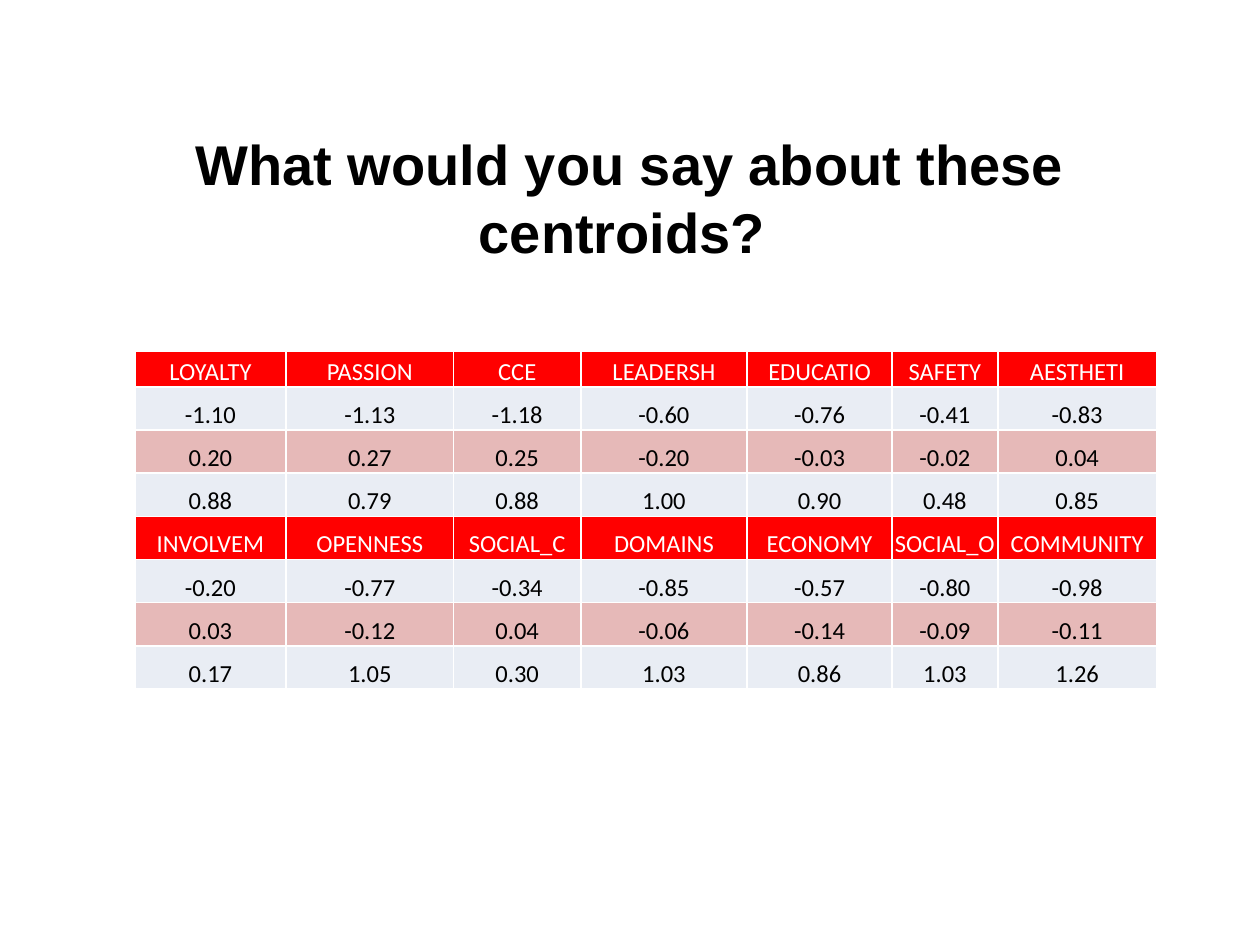
from lxml import etree
from pptx import Presentation, util as u
from pptx.dml.color import RGBColor
from pptx.enum import text
from pptx.oxml.ns import qn

TITLE = "What would you say about these centroids? "
ROWS = [
    "LOYALTY PASSION CCE LEADERSH EDUCATIO SAFETY AESTHETI",
    "-1.10 -1.13 -1.18 -0.60 -0.76 -0.41 -0.83",
    "0.20 0.27 0.25 -0.20 -0.03 -0.02 0.04",
    "0.88 0.79 0.88 1.00 0.90 0.48 0.85",
    "INVOLVEM OPENNESS SOCIAL_C DOMAINS ECONOMY SOCIAL_O COMMUNITY",
    "-0.20 -0.77 -0.34 -0.85 -0.57 -0.80 -0.98",
    "0.03 -0.12 0.04 -0.06 -0.14 -0.09 -0.11",
    "0.17 1.05 0.30 1.03 0.86 1.03 1.26",
]
WIDTHS = [1.2, 1.33, 1.01, 1.32, 1.15, 0.84, 1.26]
HEAD, HIGH = 0.28, 2.68

BLACK = RGBColor(0, 0, 0)
WHITE = RGBColor(255, 255, 255)
RED = RGBColor(255, 0, 0)
PALE = RGBColor(0xE9, 0xED, 0xF4)
PINK = RGBColor(0xE6, 0xB9, 0xB8)
BANDS = [(RED, WHITE), (PALE, BLACK), (PINK, BLACK), (PALE, BLACK)]

PAD = {"margin_left": u.Inches(0.01), "margin_right": u.Inches(0.01),
       "margin_top": u.Inches(0.01), "margin_bottom": 0,
       "vertical_anchor": text.MSO_ANCHOR.BOTTOM}
BIG = {"name": "Arial", "size": u.Pt(32), "bold": True}
SMALL = {"name": "Calibri", "size": u.Pt(14), "bold": False}


def apply(item, values):
    for key, value in values.items():
        setattr(item, key, value)


def write(frame, words, font, color):
    para = frame.paragraphs[0]
    para.alignment = text.PP_ALIGN.CENTER
    run = para.add_run()
    run.text = words
    apply(run.font, font)
    run.font.color.rgb = color


def border(cell):
    props = cell._tc.get_or_add_tcPr()
    for side in ("lnL", "lnR", "lnT", "lnB"):
        line = etree.SubElement(props, qn("a:" + side), w=str(u.Pt(1)))
        fill = etree.SubElement(line, qn("a:solidFill"))
        etree.SubElement(fill, qn("a:srgbClr"), val=str(WHITE))


deck = Presentation()
deck.slide_width, deck.slide_height = u.Inches(10), u.Inches(7.5)
slide = deck.slides.add_slide(deck.slide_layouts[6])

title = slide.shapes.add_textbox(*map(u.Inches, (0.5, 0.98, 9, 1.17))).text_frame
apply(title, {"word_wrap": True, "vertical_anchor": text.MSO_ANCHOR.MIDDLE})
write(title, TITLE, BIG, BLACK)

place = map(u.Inches, (1.07, 2.79, sum(WIDTHS), HIGH))
table = slide.shapes.add_table(len(ROWS), len(WIDTHS), *place).table
for col, width in zip(table.columns, WIDTHS):
    col.width = u.Inches(width)

step = (HIGH - HEAD) / (len(ROWS) - 1)
for r, row in enumerate(ROWS):
    table.rows[r].height = u.Inches(step if r else HEAD)
    back, ink = BANDS[r % len(BANDS)]
    for c, words in enumerate(row.split()):
        cell = table.cell(r, c)
        apply(cell, PAD)
        border(cell)
        cell.fill.solid()
        cell.fill.fore_color.rgb = back
        write(cell.text_frame, words, SMALL, ink)

deck.save("out.pptx")
